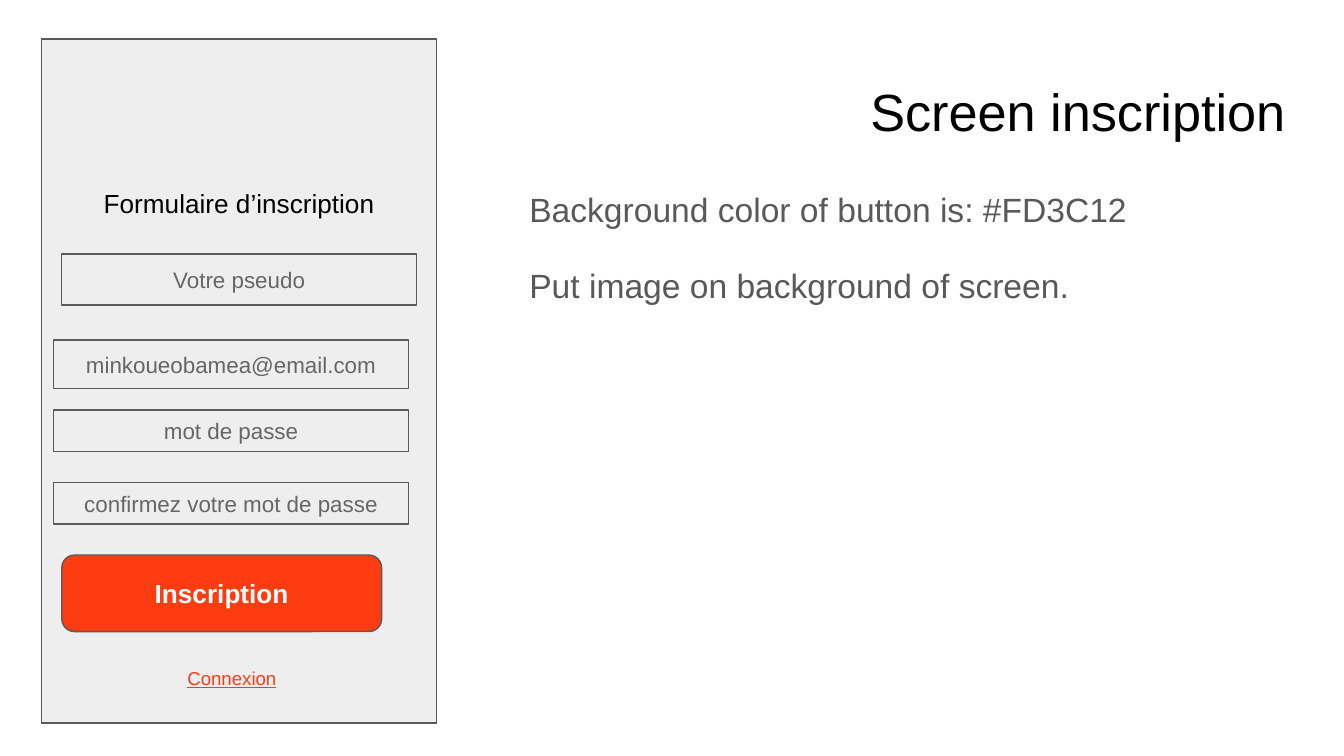
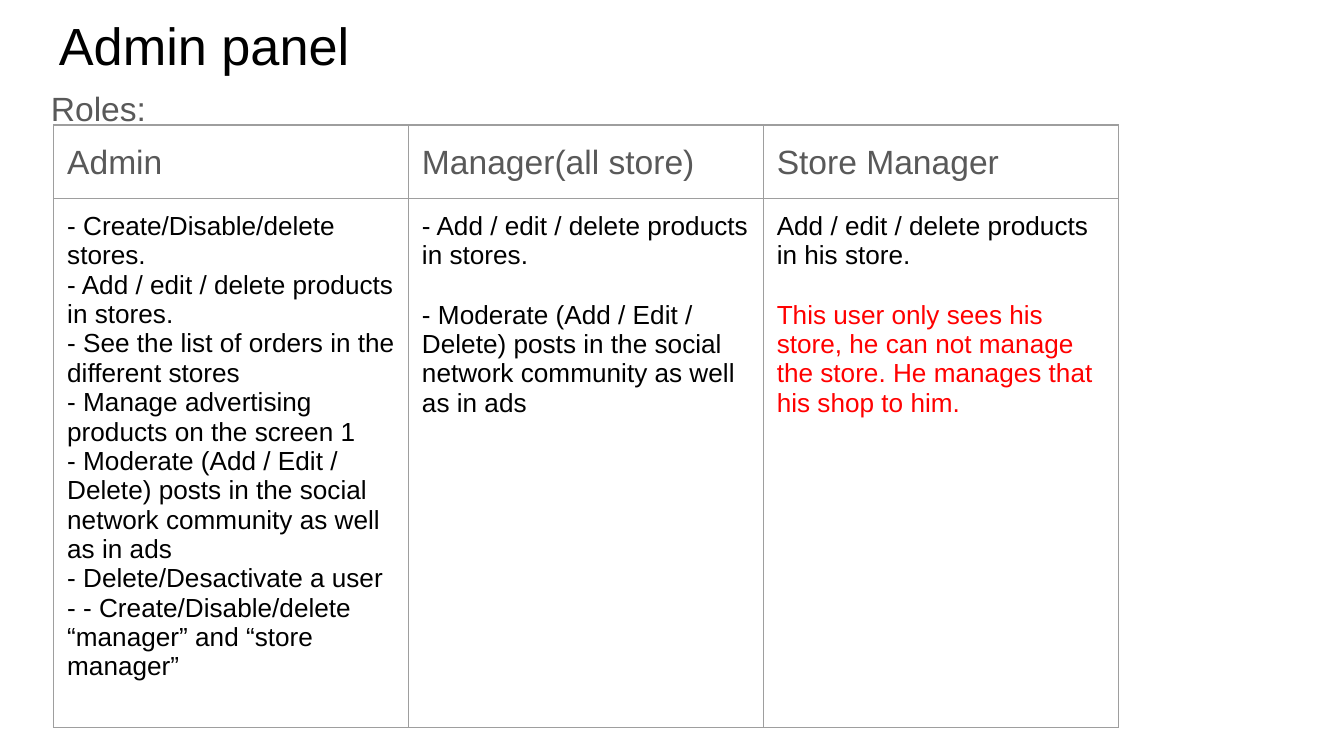
from lxml import etree
from pptx import Presentation
from pptx import util as u
from pptx.dml.color import RGBColor
from pptx.enum import shapes, text
from pptx.oxml.ns import qn

THEME = {
    "font": "Arial",
    "ink": "000000", "body": "595959", "hint": "666666", "panel": "EEEEEE",
    "accent": "FD3C12", "on_accent": "FFFFFF", "warning": "FF0000", "grid": "9E9E9E",
    "title_size": 28, "body_size": 18, "form_size": 14, "field_size": 12, "link_size": 10,
    "line": u.Pt(0.75), "inset": u.Inches(0.1),
}
MARGINS = {f"margin_{side}": THEME["inset"] for side in ("left", "top", "right", "bottom")}
LEFT, CENTER, RIGHT = text.PP_ALIGN.LEFT, text.PP_ALIGN.CENTER, text.PP_ALIGN.RIGHT
TOP, MIDDLE = text.MSO_ANCHOR.TOP, text.MSO_ANCHOR.MIDDLE
RECT, ROUNDED = shapes.MSO_SHAPE.RECTANGLE, shapes.MSO_SHAPE.ROUNDED_RECTANGLE

deck = Presentation()
deck.slide_width = u.Inches(10)
deck.slide_height = deck.slide_width * 9 // 16
COL, ROW = deck.slide_width / 100, deck.slide_height / 100  # 100 x 100 grid
blank = deck.slide_layouts[6]


def write(frame, lines, color, size, layout, **emphasis):
    """Fill a text frame; a line is its wording, or (wording, space before, colour)."""
    for i, line in enumerate(lines):
        wording, before, tint = (line, 0, color) if isinstance(line, str) else line
        paragraph = frame.paragraphs[0] if i == 0 else frame.add_paragraph()
        for name, value in layout.items():
            setattr(paragraph, name, value)
        if before:
            paragraph.space_before = u.Pt(before)
        run = paragraph.add_run()
        run.text = wording
        font = {"name": THEME["font"], "size": u.Pt(THEME[size]), **emphasis}
        for name, value in font.items():
            setattr(run.font, name, value)
        run.font.color.rgb = RGBColor.from_string(THEME[tint])


def place(slide, box, lines=(), color="ink", size="form_size", layout={"alignment": CENTER},
          anchor=MIDDLE, outline=None, fill="panel", **emphasis):
    """Add a text box, or a preset shape when an outline is given; box is in grid units."""
    left, top, width, height = box
    area = [round(n) for n in (left * COL, top * ROW, width * COL, height * ROW)]
    if outline is None:
        item = slide.shapes.add_textbox(*area)
    else:
        item = slide.shapes.add_shape(outline, *area)
        item.shadow.inherit = False
        item.fill.solid()
        item.fill.fore_color.rgb = RGBColor.from_string(THEME[fill])
        item.line.color.rgb = RGBColor.from_string(THEME["body"])
        item.line.width = THEME["line"]
    for name, value in {**MARGINS, "word_wrap": True, "vertical_anchor": anchor}.items():
        setattr(item.text_frame, name, value)
    write(item.text_frame, lines, color, size, layout, **emphasis)


TITLE = {"size": "title_size", "anchor": TOP}
BODY = {"color": "body", "size": "body_size", "anchor": TOP,
        "layout": {"alignment": LEFT, "line_spacing": 1.15}}

# Sign-up screen
signup = deck.slides.add_slide(blank)
place(signup, (3.4, 8.71, 93.2, 11.2), ["Screen inscription"],
      layout={"alignment": RIGHT}, **TITLE)
place(signup, (38.4, 22.4, 58.2, 66.49),
      ["Background color of button is: #FD3C12",
       ("Put image on background of screen.", 16, "body")], **BODY)
place(signup, (3.1, 5.16, 29.4, 90.49), outline=RECT)

fields = [
    ("minkoueobamea@email.com", 4, 44.98, 6.4),
    ("mot de passe", 4, 54.22, 5.51),
    ("Votre pseudo", 4.6, 33.6, 6.76),
    ("confirmez votre mot de passe", 4, 63.82, 5.51),
]
for hint, left, top, height in fields:
    place(signup, (left, top, 26.4, height), [hint], "hint", "field_size", outline=RECT)

place(signup, (4.6, 73.42, 23.8, 10.13), ["Inscription"], "on_accent",
      outline=ROUNDED, fill="accent", bold=True)
place(signup, (7.4, 87.82, 19.7, 3.73), ["Connexion"], "accent", "link_size", underline=True)
place(signup, (4.6, 24.53, 26.4, 4.62), ["Formulaire d’inscription"])

# Admin panel
admin = deck.slides.add_slide(blank)
place(admin, (3.4, 0, 93.2, 11.2), ["Admin panel"], layout={"alignment": LEFT}, **TITLE)
place(admin, (2.8, 9.07, 93.2, 66.49), ["Roles:"], **BODY)

PRODUCTS = "- Add / edit / delete products in stores."
MODERATE = ("- Moderate (Add / Edit / Delete) posts in the social network community "
            "as well as in ads")
GAP = 16  # one line of cell text
roles = {
    "Admin": [
        "- Create/Disable/delete stores.",
        PRODUCTS,
        "- See the list of orders in the different stores",
        "- Manage advertising products on the screen 1",
        MODERATE,
        "- Delete/Desactivate a user",
        "- - Create/Disable/delete “manager” and “store manager”",
    ],
    "Manager(all store)": [PRODUCTS, (MODERATE, GAP, "ink")],
    "Store Manager": [
        "Add / edit / delete products in his store.",
        ("This user only sees his store, he can not manage the store. "
         "He manages that his shop to him.", GAP, "warning"),
    ],
}
# Rows start at a minimum height and grow with their text
row_count, row_height, column_width = 2, 7.47, 26.4
table = admin.shapes.add_table(
    row_count, len(roles), round(4 * COL), round(16.53 * ROW),
    round(column_width * len(roles) * COL), round(row_height * row_count * ROW)).table
table.first_row = table.horz_banding = False

for c, (role, duties) in enumerate(roles.items()):
    write(table.cell(0, c).text_frame, [role], "body", "body_size",
          {"line_spacing": 1.15, "space_after": u.Pt(16)})
    write(table.cell(1, c).text_frame, duties, "ink", "form_size", {"alignment": LEFT})

for cell in table.iter_cells():
    for name, value in {**MARGINS, "vertical_anchor": TOP}.items():
        setattr(cell, name, value)
    properties = cell._tc.get_or_add_tcPr()
    for side in ("a:lnL", "a:lnR", "a:lnT", "a:lnB"):
        border = etree.SubElement(properties, qn(side), w=str(THEME["line"]))
        solid = etree.SubElement(border, qn("a:solidFill"))
        etree.SubElement(solid, qn("a:srgbClr"), val=THEME["grid"])
    cell.fill.background()

deck.save("out.pptx")
